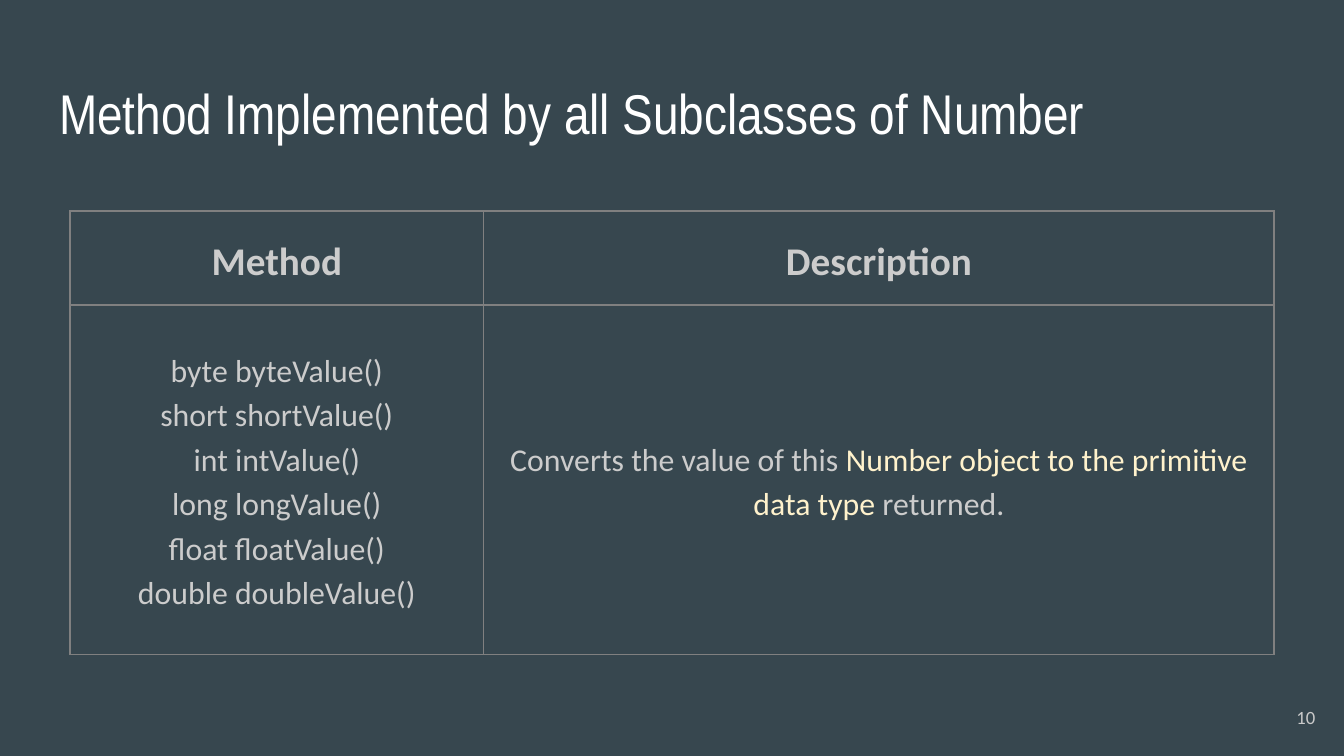
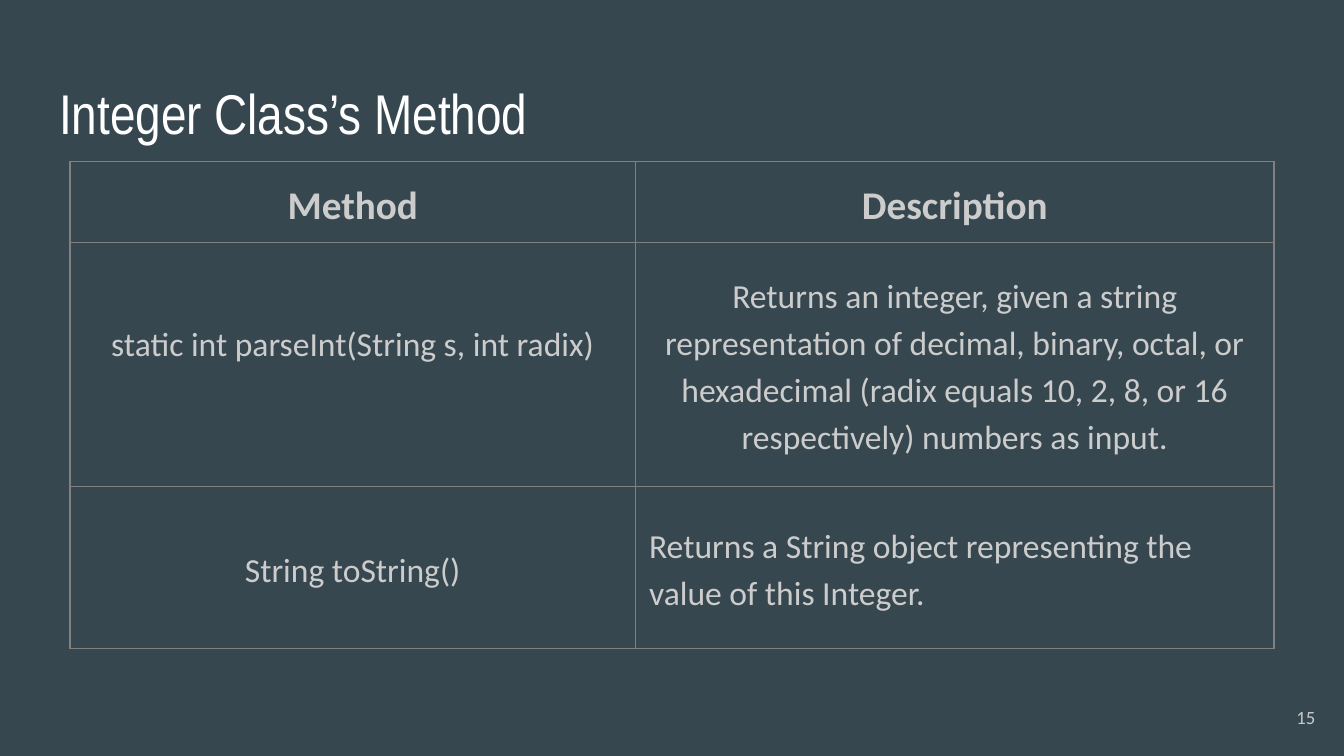
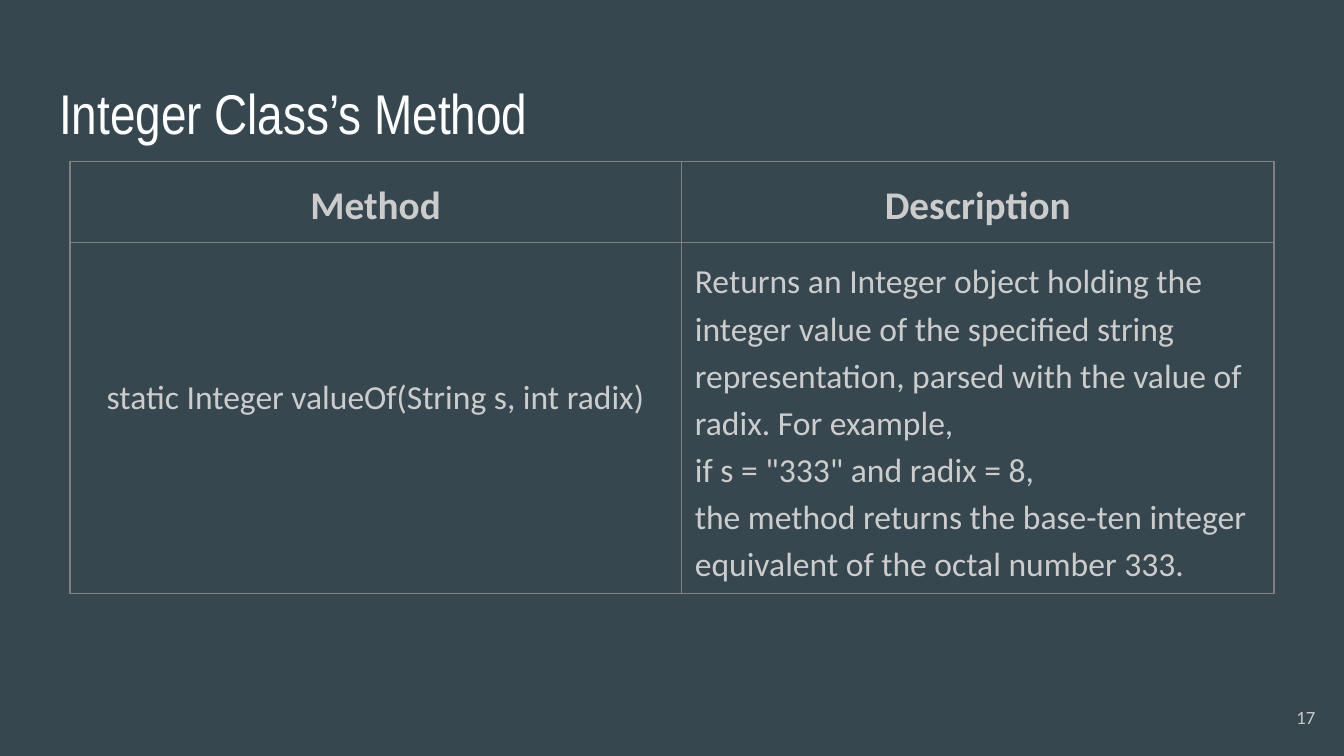
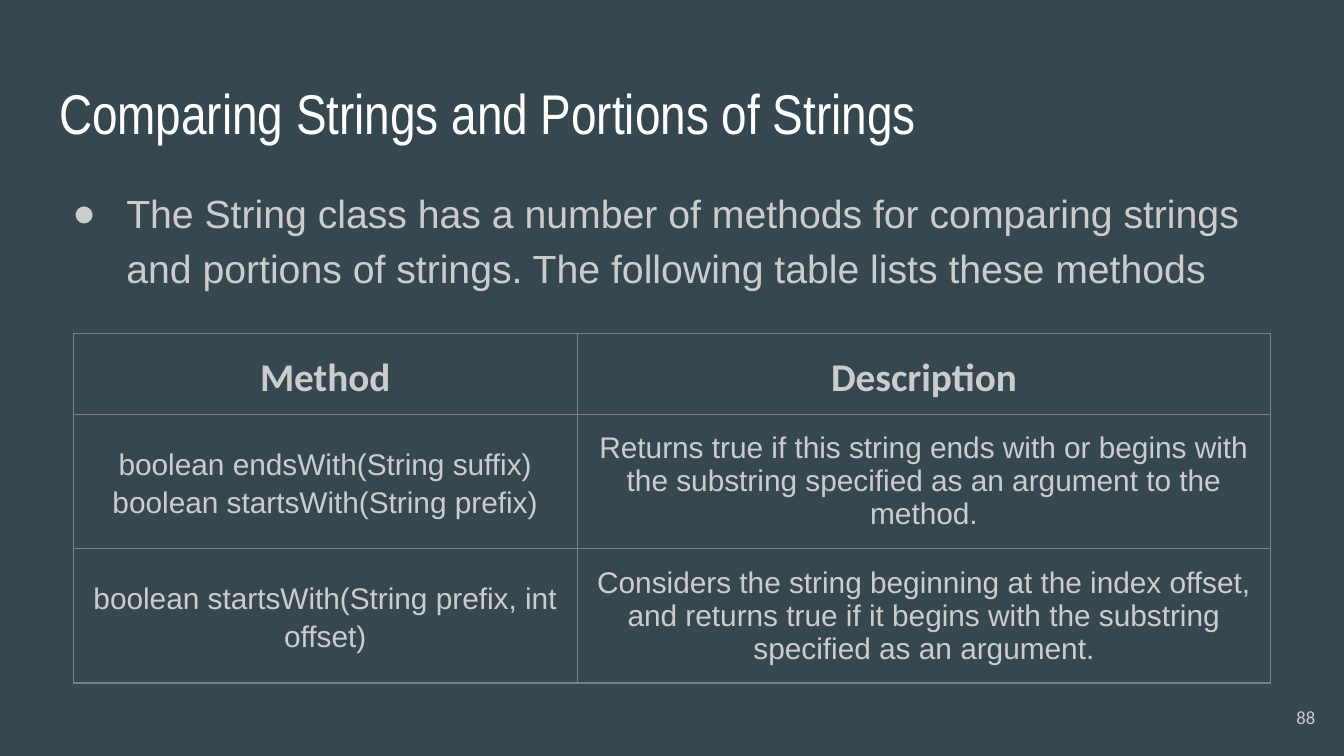
"""Build four slides of Java method tables with a shared title, number and table style."""
from dataclasses import dataclass
from typing import NamedTuple

from lxml import etree
from pptx import Presentation
from pptx import util as u
from pptx.dml.color import RGBColor
from pptx.enum import text
from pptx.oxml import ns

SLATE = RGBColor(0x37, 0x47, 0x4F)
WHITE = RGBColor(0xFF, 0xFF, 0xFF)
SILVER = RGBColor(0xCC, 0xCC, 0xCC)
NUMBER_GREY = RGBColor(0xCA, 0xCA, 0xCA)
CREAM = RGBColor(0xFF, 0xF2, 0xCC)
BORDER_GREY = RGBColor(0x80, 0x80, 0x80)

WIDTH = u.Inches(10)
HEIGHT = WIDTH * 9 // 16
UNIT = WIDTH / 100
PAD = 1
TABLE_FRAME = 32.8
LEFT, CENTER, RIGHT = text.PP_ALIGN.LEFT, text.PP_ALIGN.CENTER, text.PP_ALIGN.RIGHT
TOP, MIDDLE = text.MSO_ANCHOR.TOP, text.MSO_ANCHOR.MIDDLE


class Area(NamedTuple):
    """A place on the square grid: column, row, columns across, rows down."""
    col: float
    row: float
    cols: float
    rows: float


@dataclass(frozen=True)
class Style:
    """The look of a paragraph."""
    size: float
    font: str = "Calibri"
    color: RGBColor = SILVER
    bold: bool = False
    align: text.PP_ALIGN = CENTER
    spacing: float = 1.15


@dataclass(frozen=True)
class Entry:
    """The paragraphs of a table cell, with an accented phrase and extra room below."""
    style: Style
    lines: tuple[str, ...]
    accent: str = ""
    below: float = 0


@dataclass(frozen=True)
class MethodTable:
    """A method table: corner, column widths, row heights and body rows."""
    col: float
    row: float
    widths: tuple[float, float]
    heights: tuple[float, ...]
    body: tuple[tuple[Entry, Entry], ...]


@dataclass(frozen=True)
class Page:
    """One slide."""
    title: str
    number: int
    table: MethodTable
    bullet: str = ""


TITLE_AREA = Area(3.41, 4.87, 93.2, 6.3)
BULLET_AREA = Area(3.41, 12.6, 93.2, 37.4)
NUMBER_AREA = Area(92.85, 51.2, 6, 4.3)

TITLE = Style(30, "Arial Narrow", WHITE, align=LEFT, spacing=1.0)
NUMBER = Style(10, color=NUMBER_GREY, align=RIGHT, spacing=1.0)
BULLET = Style(21, "Arial", align=LEFT)
HEAD = Style(21, bold=True)
CONVERT = Style(17)
INTEGER = Style(18)
INTEGER_LEFT = Style(18, align=LEFT)
COMPARE = Style(16, "Arial")
COMPARE_TIGHT = Style(16, "Arial", spacing=1.0)

HEADER = (Entry(HEAD, ("Method",)), Entry(HEAD, ("Description",)))

PAGES = (
    Page("Method Implemented by all Subclasses of Number", 10, MethodTable(
        5.2, 15.7, (30.8, 58.8), (7, 26), ((
            Entry(CONVERT, tuple(f"{kind} {kind}Value()" for kind in
                                 ("byte", "short", "int", "long", "float", "double"))),
            Entry(CONVERT, ("Converts the value of this Number object to the primitive "
                            "data type returned.",),
                  accent="Number object to the primitive data type"),
        ),))),
    Page("Integer Class’s Method", 15, MethodTable(
        5.2, 12, (42.1, 47.5), (5.5, 18.2, 12), (
            (Entry(INTEGER, ("static int parseInt(String s, int radix)",), below=3.4),
             Entry(INTEGER, ("Returns an integer, given a string representation of decimal, "
                             "binary, octal, or hexadecimal (radix equals 10, 2, 8, or 16 "
                             "respectively) numbers as input.",))),
            (Entry(INTEGER, ("String toString()",)),
             Entry(INTEGER_LEFT, ("Returns a String object representing the value of "
                                  "this Integer.",))),
        ))),
    Page("Integer Class’s Method", 17, MethodTable(
        5.2, 12, (45.5, 44.1), (5.7, 9.6), ((
            Entry(INTEGER, ("static Integer valueOf(String s, int radix)",), below=3.4),
            Entry(INTEGER_LEFT, (
                "Returns an Integer object holding the integer value of the specified string "
                "representation, parsed with the value of radix. For example,",
                'if s = "333" and radix = 8,',
                "the method returns the base-ten integer equivalent of the octal number 333.")),
        ),))),
    Page("Comparing Strings and Portions of Strings", 88, MethodTable(
        5.45, 24.8, (37.5, 51.6), (5.1, 6.1, 6.1), (
            (Entry(COMPARE, ("boolean endsWith(String suffix)",
                             "boolean startsWith(String prefix)")),
             Entry(COMPARE_TIGHT, ("Returns true if this string ends with or begins with the "
                                   "substring specified as an argument to the method.",))),
            (Entry(COMPARE, ("boolean startsWith(String prefix, int offset)",)),
             Entry(COMPARE_TIGHT, ("Considers the string beginning at the index offset, and "
                                   "returns true if it begins with the substring specified "
                                   "as an argument.",))),
        )),
        bullet="The String class has a number of methods for comparing strings and portions "
               "of strings. The following table lists these methods"),
)


def grid(units: float) -> int:
    """Turn grid units into a length."""
    return round(units * UNIT)


def set_all(target, values: dict) -> None:
    """Set every attribute named in the dict."""
    for name, value in values.items():
        setattr(target, name, value)


def write(p, line: str, style: Style, accent: str = "") -> None:
    """Fill a paragraph with a styled line, colouring the accented phrase."""
    set_all(p, {"alignment": style.align, "line_spacing": style.spacing})
    parts = line.partition(accent) if accent else (line,)
    for part in parts:
        r = p.add_run()
        r.text = part
        set_all(r.font, {"size": u.Pt(style.size), "name": style.font, "bold": style.bold})
        r.font.color.rgb = CREAM if accent and part == accent else style.color


def add_bullet(p, style: Style) -> None:
    """Give a paragraph a hanging round bullet."""
    pPr = p._p.get_or_add_pPr()
    pPr.set("marL", str(grid(5)))
    pPr.set("indent", str(grid(-4)))
    color = etree.SubElement(pPr, ns.qn("a:buClr"))
    etree.SubElement(color, ns.qn("a:srgbClr"), val=str(style.color))
    etree.SubElement(pPr, ns.qn("a:buFont"), typeface=style.font)
    etree.SubElement(pPr, ns.qn("a:buChar"), char="●")


def add_text(s, area: Area, line: str, style: Style, anchor=TOP, bulleted=False) -> None:
    """Place a one-paragraph text box."""
    tf = s.shapes.add_textbox(*map(grid, area)).text_frame
    margins = dict.fromkeys(
        ("margin_left", "margin_top", "margin_right", "margin_bottom"), grid(PAD))
    set_all(tf, {"word_wrap": True, "vertical_anchor": anchor, **margins})
    p = tf.paragraphs[0]
    if bulleted:
        add_bullet(p, style)
    write(p, line, style)


def add_borders(cell) -> None:
    """Draw a thin line on all four sides of a cell."""
    tcPr = cell._tc.get_or_add_tcPr()
    for i, side in enumerate(("lnL", "lnR", "lnT", "lnB")):
        ln = etree.Element(ns.qn(f"a:{side}"), w=str(u.Pt(0.75)))
        fill = etree.SubElement(ln, ns.qn("a:solidFill"))
        etree.SubElement(fill, ns.qn("a:srgbClr"), val=str(BORDER_GREY))
        tcPr.insert(i, ln)


def fill_cell(cell, entry: Entry) -> None:
    """Format a table cell and write its paragraphs."""
    cell.fill.background()
    add_borders(cell)
    set_all(cell, {"vertical_anchor": MIDDLE, "margin_left": grid(PAD),
                   "margin_right": grid(PAD), "margin_top": grid(PAD),
                   "margin_bottom": grid(PAD + entry.below)})
    tf = cell.text_frame
    for i, line in enumerate(entry.lines):
        p = tf.add_paragraph() if i else tf.paragraphs[0]
        write(p, line, entry.style, entry.accent)


def add_method_table(s, spec: MethodTable) -> None:
    """Place a table with the shared header above its body rows."""
    rows = (HEADER, *spec.body)
    area = Area(spec.col, spec.row, TABLE_FRAME, TABLE_FRAME)
    frame = s.shapes.add_table(len(rows), len(HEADER), *map(grid, area))
    table = frame.table
    set_all(table, {"first_row": False, "horz_banding": False})
    for column, width in zip(table.columns, spec.widths):
        column.width = grid(width)
    for row, height, entries in zip(table.rows, spec.heights, rows):
        row.height = grid(height)
        for cell, entry in zip(row.cells, entries):
            fill_cell(cell, entry)
    set_all(frame, {"width": grid(area.cols), "height": grid(area.rows)})


def add_page(prs, page: Page) -> None:
    """Build one slide."""
    s = prs.slides.add_slide(prs.slide_layouts[6])
    add_text(s, TITLE_AREA, page.title, TITLE)
    add_text(s, NUMBER_AREA, str(page.number), NUMBER, MIDDLE)
    if page.bullet:
        add_text(s, BULLET_AREA, page.bullet, BULLET, bulleted=True)
    add_method_table(s, page.table)


def main() -> None:
    """Build and save the presentation."""
    prs = Presentation()
    set_all(prs, {"slide_width": WIDTH, "slide_height": HEIGHT})
    fill = prs.slide_master.background.fill
    fill.solid()
    fill.fore_color.rgb = SLATE
    for page in PAGES:
        add_page(prs, page)
    prs.save("out.pptx")


if __name__ == "__main__":
    main()
